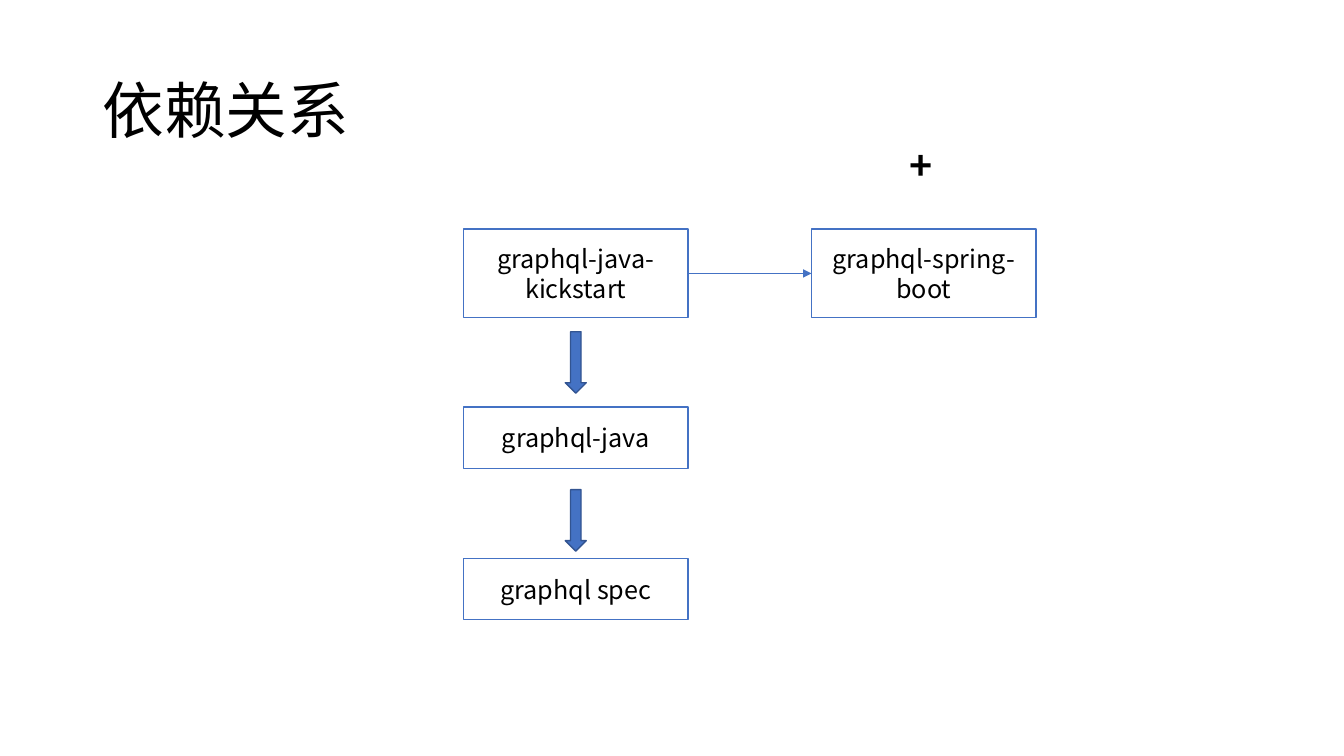
import pptx
import pptx.util
import pptx.dml.color
import pptx.enum.shapes
import pptx.enum.text
import pptx.oxml.ns
from lxml import etree

Cm, Pt = pptx.util.Cm, pptx.util.Pt
SHAPES = pptx.enum.shapes.MSO_SHAPE
ALIGN = pptx.enum.text.PP_ALIGN
MIDDLE = pptx.enum.text.MSO_ANCHOR.MIDDLE
qn = pptx.oxml.ns.qn

COLORS = {name: pptx.dml.color.RGBColor.from_string(value) for name, value in {
    "text": "000000", "paper": "FFFFFF", "blue": "4472C4", "edge": "325491"}.items()}


def write(shape, text, size, align, font="Noto Sans CJK JP", bold=False):
    frame = shape.text_frame
    frame.word_wrap = True
    frame.text = text
    paragraph = frame.paragraphs[0]
    paragraph.alignment = align
    run = paragraph.runs[0]
    for attribute, value in {"name": font, "size": Pt(size), "bold": bold}.items():
        setattr(run.font, attribute, value)
    run.font.color.rgb = COLORS["text"]
    # Chinese characters take the East Asian typeface
    etree.SubElement(run.font._element, qn("a:ea"), typeface=font)
    return paragraph


def paint(shape, fill, line):
    shape.shadow.inherit = False
    shape.fill.solid()
    shape.fill.fore_color.rgb = COLORS[fill]
    shape.line.color.rgb = COLORS[line]
    shape.line.width = Pt(1)


deck = pptx.Presentation()
deck.slide_width, deck.slide_height = Cm(33.87), Cm(19.05)
slide = deck.slides.add_slide(deck.slide_layouts[5])

# Title
title = slide.shapes.title
for attribute, value in {"left": 2.33, "top": 1.01, "width": 29.21, "height": 3.68}.items():
    setattr(title, attribute, Cm(value))
write(title, "依赖关系", 44, ALIGN.LEFT).line_spacing = 0.9
title.text_frame.vertical_anchor = MIDDLE

# Libraries: name, left, top, height
BOX_WIDTH = 5.66
STACK_LEFT = 11.68
libraries = {}
for name, left, top, height in [
    ("graphql-java", STACK_LEFT, 10.26, 1.55),
    ("graphql-java-kickstart", STACK_LEFT, 5.77, 2.24),
    ("graphql spec", STACK_LEFT, 14.07, 1.55),
    ("graphql-spring-boot", 20.45, 5.77, 2.24),
]:
    library = slide.shapes.add_shape(
        SHAPES.RECTANGLE, Cm(left), Cm(top), Cm(BOX_WIDTH), Cm(height))
    paint(library, "paper", "blue")
    write(library, name, 18, ALIGN.CENTER)
    library.text_frame.vertical_anchor = MIDDLE
    libraries[name] = library

# Block arrows down the stack, centred on the boxes
ARROW_LENGTH, ARROW_WIDTH = 1.55, 0.53
arrow_left = STACK_LEFT + (BOX_WIDTH - ARROW_LENGTH) / 2
for arrow_top in (8.87, 12.85):
    dependency = slide.shapes.add_shape(
        SHAPES.RIGHT_ARROW, Cm(arrow_left), Cm(arrow_top), Cm(ARROW_LENGTH), Cm(ARROW_WIDTH))
    dependency.rotation = 90
    paint(dependency, "blue", "edge")

# Thin arrow from kickstart to spring boot
link = slide.shapes.add_connector(pptx.enum.shapes.MSO_CONNECTOR.STRAIGHT, 0, 0, 0, 0)
link.begin_connect(libraries["graphql-java-kickstart"], 3)
link.end_connect(libraries["graphql-spring-boot"], 1)
link.line.color.rgb = COLORS["blue"]
link.line.width = Pt(1)
etree.SubElement(link.line._get_or_add_ln(), qn("a:tailEnd"), type="triangle")
etree.SubElement(link._element.spPr, qn("a:effectLst"))

# Plus sign
plus = slide.shapes.add_textbox(Cm(22.68), Cm(3.43), Cm(1.19), Cm(1.45))
write(plus, "+", 28, ALIGN.LEFT, font="Noto Sans CJK SC", bold=True)
plus.text_frame.auto_size = pptx.enum.text.MSO_AUTO_SIZE.SHAPE_TO_FIT_TEXT

deck.save("out.pptx")
